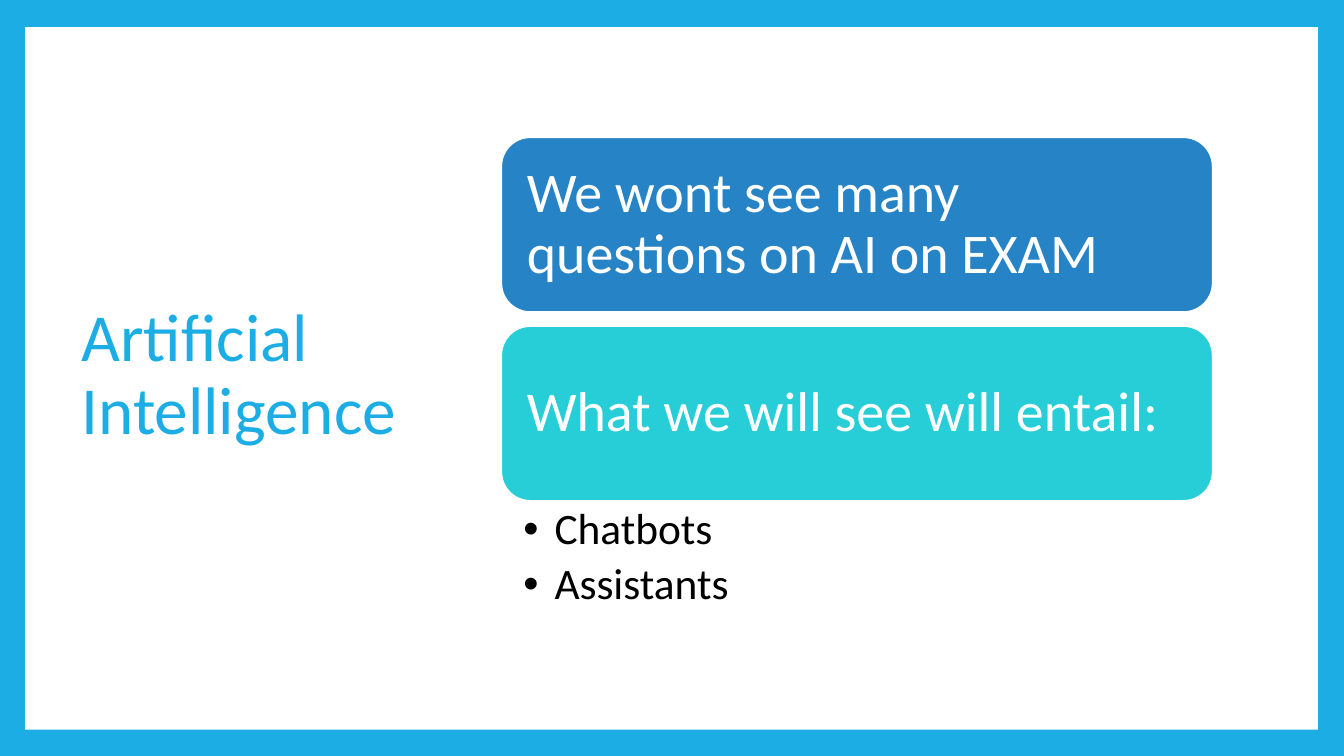
import pptx
import pptx.dml.color
import pptx.enum.shapes
import pptx.enum.text
import pptx.oxml
import pptx.oxml.ns
import pptx.util

WIDTH, HEIGHT = 13.33, 7.5
FONT = "Calibri"
SKY, WHITE, BLACK = "1CADE4", "FFFFFF", "000000"
CARDS = [
    ("We wont see many questions on AI on EXAM", "2683C6"),
    ("What we will see will entail:", "27CED7"),
]
TOPICS = ["Chatbots", "Assistants"]


def color(value):
    """Turn a hex string into a colour."""
    return pptx.dml.color.RGBColor.from_string(value)


def add_panel(page, kind, box, fill, outline=None):
    """Add a filled shape without shadow, with an optional outline."""
    panel = page.shapes.add_shape(kind, *map(pptx.util.Inches, box))
    panel.shadow.inherit = False
    panel.fill.solid()
    panel.fill.fore_color.rgb = color(fill)
    if outline:
        panel.line.color.rgb = color(outline)
        panel.line.width = pptx.util.Pt(1.5)
    else:
        panel.line.fill.background()
    return panel


def add_bullet(para, indent):
    """Give a paragraph a hanging round bullet."""
    properties = para._p.get_or_add_pPr()
    properties.set("marL", str(pptx.util.Inches(indent)))
    properties.set("indent", str(-pptx.util.Inches(indent)))
    namespace = pptx.oxml.ns.nsdecls("a")
    for tag in ('buFont typeface="Arial"', 'buChar char="•"'):
        properties.append(pptx.oxml.parse_xml(f"<a:{tag} {namespace}/>"))


def write(shape, lines, size, ink, insets=(0.1, 0.05, 0.1, 0.05),
          anchor="MIDDLE", after=0, bullet_indent=0):
    """Fill a shape with formatted paragraphs."""
    frame = shape.text_frame
    frame.word_wrap = True
    frame.vertical_anchor = getattr(pptx.enum.text.MSO_ANCHOR, anchor)
    for side, inset in zip(("left", "top", "right", "bottom"), insets):
        setattr(frame, f"margin_{side}", pptx.util.Inches(inset))
    frame.text = "\n".join(lines)
    for para in frame.paragraphs:
        para.alignment = pptx.enum.text.PP_ALIGN.LEFT
        para.line_spacing = 0.9
        para.space_after = pptx.util.Pt(after)
        if bullet_indent:
            add_bullet(para, bullet_indent)
        para.font.name = FONT
        para.font.size = pptx.util.Pt(size)
        para.font.color.rgb = color(ink)


def add_text(page, box, lines, **style):
    """Add a text box with formatted paragraphs."""
    write(page.shapes.add_textbox(*map(pptx.util.Inches, box)), lines, **style)


def add_frame(page, box):
    """Set the coloured border around a white sheet."""
    page.background.fill.solid()
    page.background.fill.fore_color.rgb = color(SKY)
    add_panel(page, pptx.enum.shapes.MSO_SHAPE.RECTANGLE, box, WHITE)


def add_cards(page, box):
    """Stack the cards, followed by the list of topics."""
    left, top, width, height = box
    card_height, list_height = 0.363 * height, 0.246 * height
    list_top = top + height - list_height
    step = (list_top - top - card_height) / (len(CARDS) - 1)
    for row, (line, fill) in enumerate(CARDS):
        card = add_panel(page, pptx.enum.shapes.MSO_SHAPE.ROUNDED_RECTANGLE,
                         (left, top + row * step, width, card_height), fill, WHITE)
        write(card, [line], size=40, ink=WHITE, insets=(0.17,) * 4)
    add_text(page, (left, list_top, width, list_height), TOPICS, size=31, ink=BLACK,
             insets=(0.22, 0.06, 0.31, 0.06), anchor="TOP", after=6, bullet_indent=0.31)


def main():
    """Build and save the deck."""
    deck = pptx.Presentation()
    deck.slide_width = pptx.util.Inches(WIDTH)
    deck.slide_height = pptx.util.Inches(HEIGHT)
    page = deck.slides.add_slide(deck.slide_layouts[6])
    add_frame(page, (0.25, 0.27, 12.82, 6.97))
    add_text(page, (0.71, 0.67, 3.68, 6.13), ["Artificial Intelligence"], size=48, ink=SKY)
    add_cards(page, (4.97, 1.36, 7.06, 4.79))
    deck.save("out.pptx")


if __name__ == "__main__":
    main()
